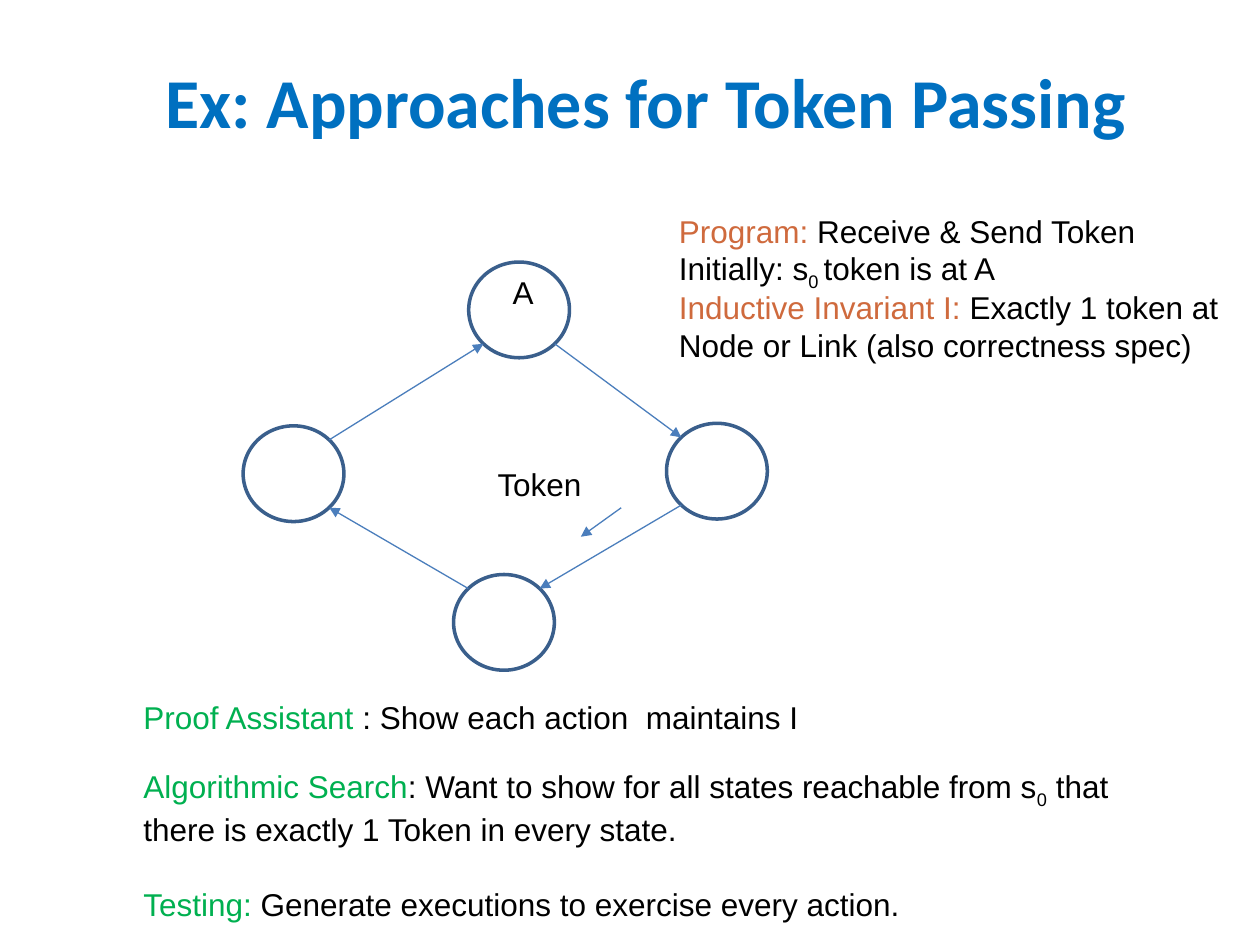
from math import sqrt

from lxml.etree import SubElement
from pptx import Presentation
from pptx.dml.color import RGBColor
from pptx.enum.shapes import MSO_CONNECTOR as CONN, MSO_SHAPE as SHAPE
from pptx.enum.text import MSO_ANCHOR as ANCHOR, MSO_AUTO_SIZE as FIT, PP_ALIGN as ALIGN
from pptx.oxml.ns import qn
from pptx.util import Emu, Pt

PX = 9144  # 100 px to the inch
NODE_W, NODE_H = 80, 76
BLACK, BLUE, ORANGE, GREEN = "000000", "0070C0", "CF6A3D", "00B050"
OUTLINE, ARROW = "3A5F8C", "4B7EBC"


def px(n):
    return Emu(round(n * PX))


def rgb(color):
    return RGBColor.from_string(color)


def add_run(p, text, color=BLACK, size=18, font="Arial", bold=False, sub=False):
    r = p.add_run()
    r.text = text
    r.font.size, r.font.name, r.font.bold = Pt(size), font, bold
    r.font.color.rgb = rgb(color)
    if sub:
        r._r.get_or_add_rPr().set("baseline", "-25000")


def add_title(s, text, x, y, w, h):
    sp = s.shapes.title
    sp.left, sp.top, sp.width, sp.height = map(px, (x, y, w, h))
    sp.text_frame.vertical_anchor = ANCHOR.MIDDLE
    p = sp.text_frame.paragraphs[0]
    p.alignment = ALIGN.CENTER
    add_run(p, text, BLUE, 40, "Calibri", True)


def add_text(s, x, y, w, h, *lines, wrap=False):
    """Each line is a list of (text, color, subscript) runs, with defaults."""
    tf = s.shapes.add_textbox(px(x), px(y), px(w), px(h)).text_frame
    tf.word_wrap, tf.auto_size = wrap, FIT.SHAPE_TO_FIT_TEXT
    for i, runs in enumerate(lines):
        p = tf.add_paragraph() if i else tf.paragraphs[0]
        for text, color, sub in runs:
            add_run(p, text, color, sub=sub)
    return tf


def run(text, color=BLACK, sub=False):
    return text, color, sub


def add_node(s, x, y):
    sp = s.shapes.add_shape(SHAPE.OVAL, px(x), px(y), px(NODE_W), px(NODE_H))
    sp.shadow.inherit = False
    sp.fill.background()
    sp.line.color.rgb = rgb(OUTLINE)
    sp.line.width = Pt(2)


def add_arrow(s, start, end):
    c = s.shapes.add_connector(CONN.STRAIGHT, *map(px, start + end))
    c.line.color.rgb = rgb(ARROW)
    c.line.width = Pt(0.75)
    SubElement(c.line._get_or_add_ln(), qn("a:tailEnd"), type="triangle")
    SubElement(c._element.spPr, qn("a:effectLst"))


def diagonal(node, dx, dy):
    """Point on a node's outline at 45 degrees, towards (dx, dy)."""
    x, y = node
    return (x + NODE_W / 2 * (1 + dx / sqrt(2)),
            y + NODE_H / 2 * (1 + dy / sqrt(2)))


def main():
    prs = Presentation()
    prs.slide_width, prs.slide_height = px(1000), px(750)
    s = prs.slides.add_slide(prs.slide_layouts[5])
    add_title(s, "Ex: Approaches for Token Passing", 50, 30, 925, 99)

    # Token ring, clockwise, with the outward diagonal of each link
    top, right, bottom, left = ring = [(372, 208), (529, 336), (360, 456), (193, 338)]
    for node in ring:
        add_node(s, *node)
    links = [(top, right, 1, 1), (right, bottom, -1, 1),
             (bottom, left, -1, -1), (left, top, 1, -1)]
    for a, b, dx, dy in links:
        add_arrow(s, diagonal(a, dx, dy), diagonal(b, -dx, -dy))

    # Labels in the ring
    add_text(s, 397, 212, 44, 40, [run("A")], wrap=True)
    add_text(s, 385, 364, 95, 40, [run("Token")], wrap=True)
    add_arrow(s, (493, 403), (461, 426))

    # Program and invariant
    add_text(s, 529, 163, 386, 71,
             [run("Program:", ORANGE), run(" Receive & Send Token")],
             [run("Initially: s"), run("0 ", sub=True), run("token is at A")])
    add_text(s, 529, 224, 452, 71,
             [run("Inductive Invariant I:", ORANGE), run(" Exactly 1 token at")],
             [run("Node or Link (also correctness spec)")])

    # Approaches
    add_text(s, 104, 549, 552, 40,
             [run("Proof Assistant ", GREEN), run(": Show each action  maintains I")])
    tf = add_text(s, 104, 604, 801, 131,
                  [run("Algorithmic Search", GREEN),
                   run(": Want to show for all states reachable from s"),
                   run("0", sub=True), run(" that")],
                  [run("there is exactly 1 Token in every state.")],
                  [run("Testing:", GREEN),
                   run(" Generate executions to exercise every action.")])
    tf.paragraphs[-1].space_before = Pt(21)

    prs.save("out.pptx")


if __name__ == "__main__":
    main()
